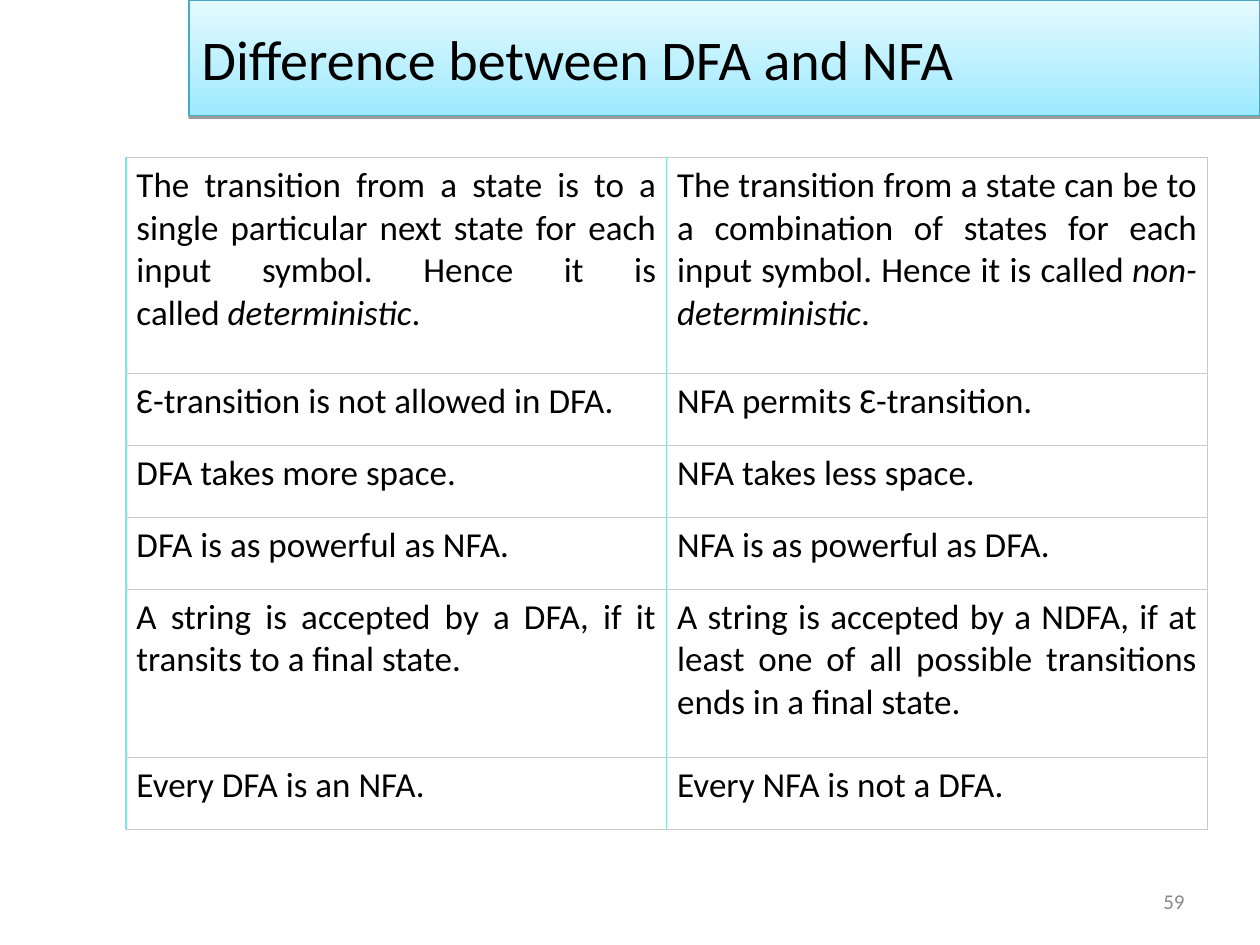
from lxml import etree
from pptx import Presentation
from pptx.dml.color import RGBColor
from pptx.enum import text
from pptx.oxml import ns
from pptx.util import Pt

COLORS = {"ink": "000000", "number": "898989", "band_low": "9EEAFF",
          "band_high": "E4F9FF", "band_line": "46AAC5",
          "rule": "C6CACA", "divider": "7BE5E5"}
FONT = "Calibri"
ROW_HEIGHTS = [123.4, 41.14, 41.14, 41.14, 96, 41.14]

# Each cell is a list of runs; every second run is italic
ROWS = [
    [["The transition from a state is to a single particular next state for each "
      "input symbol. Hence it is called\u00a0", "deterministic", "."],
     ["The transition from a state can be to a combination of states for each "
      "input symbol. Hence it is called\u00a0", "non-deterministic", "."]],
    [["Ɛ-transition is not allowed in DFA."], ["NFA permits Ɛ-transition."]],
    [["DFA takes more space."], ["NFA takes less space."]],
    [["DFA is as powerful as NFA."], ["NFA is as powerful as DFA."]],
    [["A string is accepted by a DFA, if it transits to a final state."],
     ["A string is accepted by a NDFA, if at least one of all possible "
      "transitions ends in a final state."]],
    [["Every DFA is an NFA."], ["Every NFA is not a DFA."]],
]


def rgb(name):
    return RGBColor.from_string(COLORS[name])


def style(p, size, color, align):
    p.alignment = align
    p.font.size = Pt(size)
    p.font.name = FONT
    p.font.color.rgb = rgb(color)


def add_child(parent, tag, **attrs):
    return etree.SubElement(parent, ns.qn(tag), attrs)


def place_title(slide, x, y, w, h):
    s = slide.shapes.title
    s.left, s.top, s.width, s.height = Pt(x), Pt(y), Pt(w), Pt(h)
    s.fill.gradient()
    s.fill.gradient_angle = 90
    for stop, name in zip(s.fill.gradient_stops, ("band_low", "band_high")):
        stop.color.rgb = rgb(name)
    s.line.color.rgb = rgb("band_line")
    s.line.width = Pt(0.75)
    # Thin drop shadow under the band
    effects = add_child(s._element.spPr, "a:effectLst")
    shadow = add_child(effects, "a:outerShdw", blurRad="0", dist=str(Pt(1.6)),
                       dir="5400000", rotWithShape="0")
    color = add_child(shadow, "a:srgbClr", val=COLORS["ink"])
    add_child(color, "a:alpha", val="38000")
    tf = s.text_frame
    tf.text = "Difference between DFA and NFA"
    tf.auto_size = text.MSO_AUTO_SIZE.NONE
    tf.vertical_anchor = text.MSO_ANCHOR.MIDDLE
    style(tf.paragraphs[0], 32, "ink", text.PP_ALIGN.LEFT)


def set_borders(cell, sides):
    tcPr = cell._tc.get_or_add_tcPr()
    for i, (side, name) in enumerate(sides.items()):
        ln = etree.Element(ns.qn(f"a:ln{side}"), w=str(Pt(0.75)))
        add_child(add_child(ln, "a:solidFill"), "a:srgbClr", val=COLORS[name])
        tcPr.insert(i, ln)


def place_table(slide, x, y, w):
    cols = len(ROWS[0])
    table = slide.shapes.add_table(len(ROWS), cols, Pt(x), Pt(y), Pt(w),
                                   Pt(sum(ROW_HEIGHTS))).table
    table.first_row = table.horz_banding = False
    for column in table.columns:
        column.width = Pt(w / cols)
    for r, row in enumerate(ROWS):
        table.rows[r].height = Pt(ROW_HEIGHTS[r])
        for c, runs in enumerate(row):
            cell = table.cell(r, c)
            cell.fill.background()
            cell.margin_left = cell.margin_right = Pt(6)
            cell.margin_top = cell.margin_bottom = Pt(3.6)
            right = "rule" if c == cols - 1 else "divider"
            set_borders(cell, {"L": "divider", "R": right, "T": "rule", "B": "rule"})
            p = cell.text_frame.paragraphs[0]
            style(p, 20, "ink", text.PP_ALIGN.JUSTIFY)
            for i, words in enumerate(runs):
                run = p.add_run()
                run.text = words
                if i % 2:
                    run.font.italic = True


def place_number(slide, x, y, w, h):
    tf = slide.shapes.add_textbox(Pt(x), Pt(y), Pt(w), Pt(h)).text_frame
    tf.word_wrap = True
    tf.vertical_anchor = text.MSO_ANCHOR.MIDDLE
    tf.text = "59"
    style(tf.paragraphs[0], 12, "number", text.PP_ALIGN.RIGHT)


def main():
    prs = Presentation()
    prs.slide_width, prs.slide_height = Pt(720), Pt(540)
    slide = prs.slides.add_slide(prs.slide_layouts[5])
    place_number(slide, 516, 500.5, 168, 28.75)
    place_title(slide, 108, 0, 612, 66)
    place_table(slide, 72, 90, 618)
    prs.save("out.pptx")


if __name__ == "__main__":
    main()
